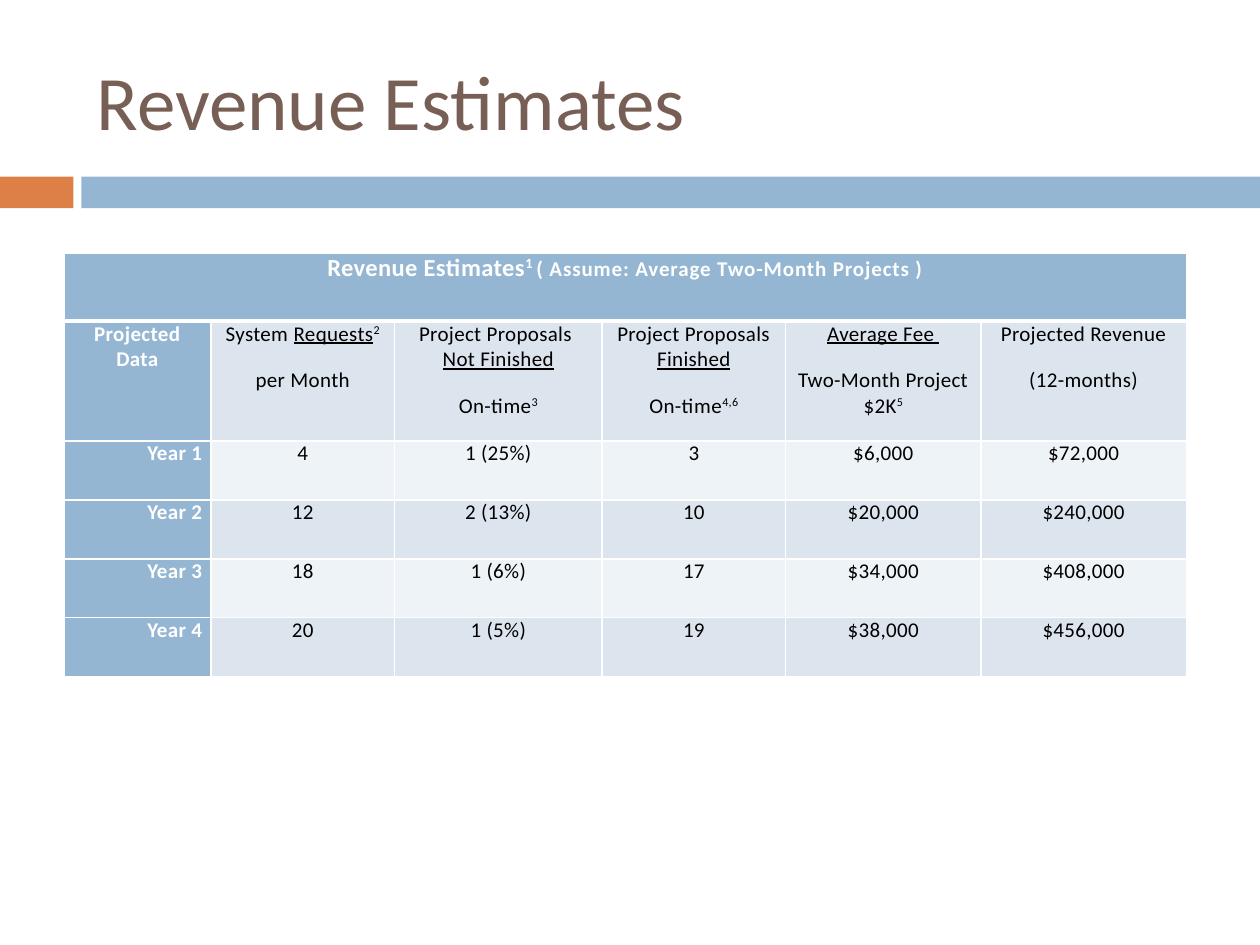
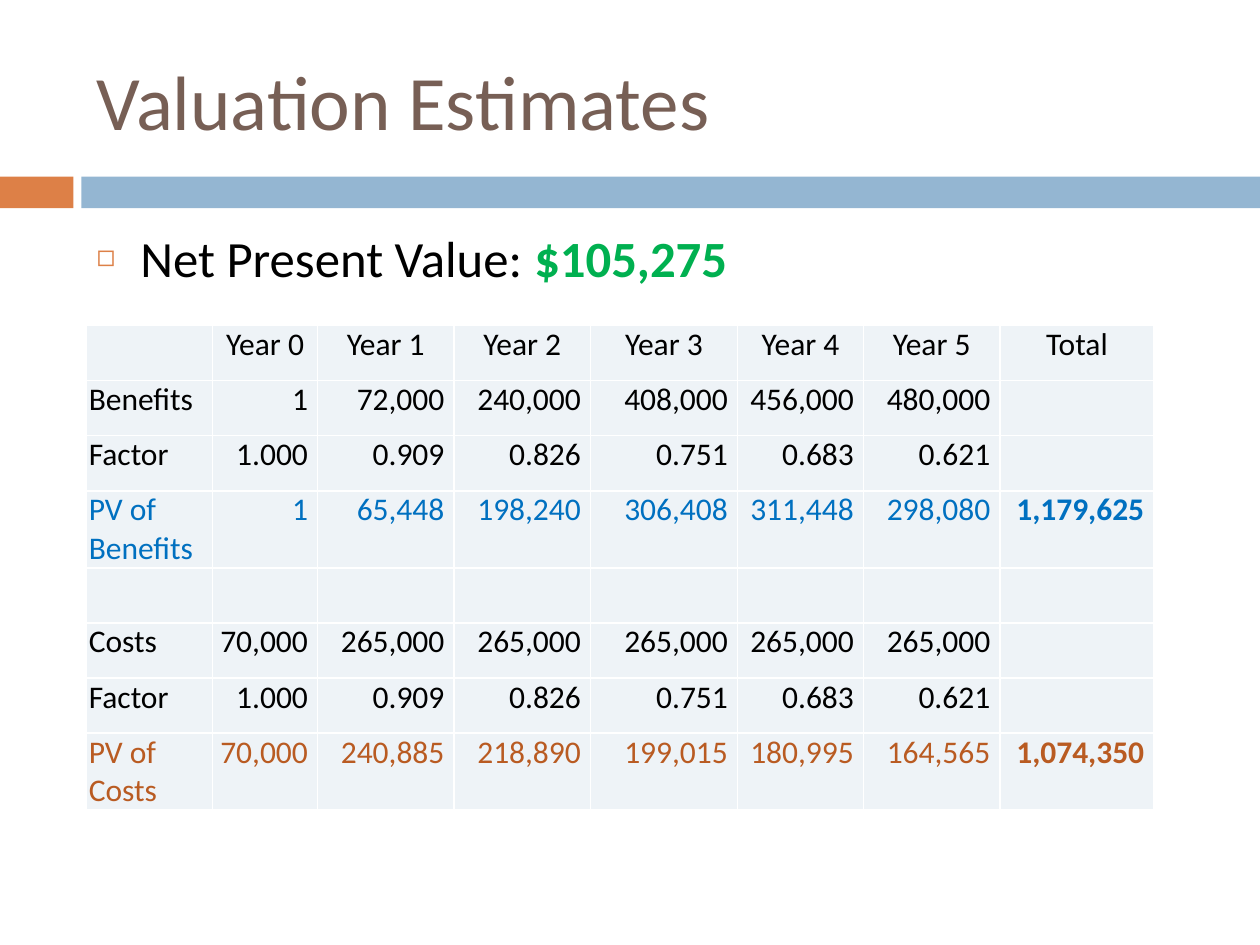
"""Builds the revenue and valuation estimate slides."""
from lxml import etree
from pptx import Presentation
from pptx.dml.color import RGBColor
from pptx.enum import shapes, text
from pptx.oxml import ns
from pptx.util import Pt

BLUE = RGBColor(0x94, 0xB6, 0xD2)
MID = RGBColor(0xDC, 0xE5, 0xEE)
PALE = RGBColor(0xEE, 0xF3, 0xF7)
ORANGE = RGBColor(0xDD, 0x80, 0x47)
BROWN = RGBColor(0x77, 0x5F, 0x55)
GREEN = RGBColor(0x00, 0xB0, 0x50)
GAIN = RGBColor(0x00, 0x70, 0xC0)
COST = RGBColor(0xB9, 0x5B, 0x22)
BLACK = RGBColor(0, 0, 0)
WHITE = RGBColor(0xFF, 0xFF, 0xFF)

LEFT, MIDDLE, RIGHT = text.PP_ALIGN.LEFT, text.PP_ALIGN.CENTER, text.PP_ALIGN.RIGHT


def child(node, tag, **attrs):
    return etree.SubElement(node, ns.qn(tag), **attrs)


class Deck:
    face = "Calibri"

    def __init__(self):
        self.prs = Presentation()
        self.prs.slide_width, self.prs.slide_height = Pt(720), Pt(540)
        self.slide = None

    def page(self, title, layout):
        self.slide = self.prs.slides.add_slide(self.prs.slide_layouts[layout])
        self.band(0, 42, ORANGE)
        self.band(46.5, 673.5, BLUE)
        box = self.slide.shapes.title
        self.place(box, 48, 18, 642, 78)
        box.text_frame.text = title
        box.text_frame.vertical_anchor = text.MSO_ANCHOR.MIDDLE
        line = box.text_frame.paragraphs[0]
        line.alignment = LEFT
        self.font(line.runs[0], 44, BROWN)

    def band(self, left, width, fill):
        bar = self.slide.shapes.add_shape(
            shapes.MSO_SHAPE.RECTANGLE, Pt(left), Pt(101), Pt(width), Pt(18))
        bar.shadow.inherit = False
        bar.fill.solid()
        bar.fill.fore_color.rgb = fill
        bar.line.fill.background()

    def place(self, box, left, top, width, height):
        box.left, box.top, box.width, box.height = map(Pt, (left, top, width, height))
        box.text_frame.auto_size = text.MSO_AUTO_SIZE.NONE

    def font(self, run, size, color, bold=False):
        font = run.font
        font.name, font.size, font.bold = self.face, Pt(size), bold
        font.color.rgb = color

    def point(self, label, value):
        box = self.slide.placeholders[1]
        self.place(box, 48, 126, 642, 48)
        line = box.text_frame.paragraphs[0]
        line.space_before = Pt(0)
        props = line._p.get_or_add_pPr()
        props.set("marL", str(Pt(25)))
        props.set("indent", str(-Pt(25)))
        child(child(props, "a:buClr"), "a:srgbClr", val=str(ORANGE))
        child(props, "a:buSzPct", val="60000")
        child(props, "a:buChar", char="◻")
        line.text = label
        self.font(line.runs[0], 29, BLACK)
        run = line.add_run()
        run.text = value
        self.font(run, 29, GREEN, True)

    def table(self, left, top, cols, rows):
        grid = self.slide.shapes.add_table(
            len(rows), len(cols), Pt(left), Pt(top), Pt(sum(cols)), Pt(sum(rows))).table
        grid.first_row = grid.horz_banding = False
        for col, width in zip(grid.columns, cols):
            col.width = Pt(width)
        for row, height in zip(grid.rows, rows):
            row.height = Pt(height)
        return grid

    def cell(self, cell, fill, pad, under=1):
        cell.margin_left, cell.margin_right = map(Pt, pad)
        cell.margin_top = cell.margin_bottom = 0
        props = cell._tc.get_or_add_tcPr()
        for side, width in zip("LRTB", (1, 1, 1, under)):
            edge = child(props, f"a:ln{side}", w=str(Pt(width)))
            child(child(edge, "a:solidFill"), "a:srgbClr", val=str(WHITE))
        cell.fill.solid()
        cell.fill.fore_color.rgb = fill

    def rich(self, cell, lines, align, color=BLACK, bold=False):
        """Write paragraphs of (text, mark) runs: u underlines, s raises, w is small and wide."""
        frame = cell.text_frame
        for pos, parts in enumerate(lines):
            line = frame.add_paragraph() if pos else frame.paragraphs[0]
            line.alignment = align
            line.space_before, line.space_after = Pt(6 if pos else 0), Pt(6)
            for words, mark in parts:
                if words == "\v":
                    line.add_line_break()
                    continue
                run = line.add_run()
                run.text = words
                self.font(run, 14 if "h" in mark else 12, color, bold)
                run.font.underline = "u" in mark
                props = run._r.get_or_add_rPr()
                props.set("spc", "50" if "w" in mark else "20")
                if "s" in mark:
                    props.set("baseline", "30000")


def revenue(deck):
    deck.page("Revenue Estimates", 5)
    heads = [
        [[("System ", ""), ("Requests", "u"), ("2", "s")], [("per Month", "")]],
        [[("Project Proposals ", ""), ("\v", ""), ("Not Finished", "u")],
         [("On-time", ""), ("3", "s")]],
        [[("Project Proposals ", ""), ("Finished", "u")], [("On-time", ""), ("4,6", "s")]],
        [[("Average Fee ", "u")], [("Two-Month Project $2K", ""), ("5", "s")]],
        [[("Projected Revenue", "")], [("(12-months)", "")]],
    ]
    years = [
        ("4", "1 (25%)", "3", "$6,000", "$72,000"),
        ("12", "2 (13%)", "10", "$20,000", "$240,000"),
        ("18", "1 (6%)", "17", "$34,000", "$408,000"),
        ("20", "1 (5%)", "19", "$38,000", "$456,000"),
    ]
    grid = deck.table(36.5, 144.5, (84, 105, 118.5, 105, 111.5, 117.5), [39, 68.5] + [33.7] * 4)
    for r in range(6):
        for c in range(6):
            fill = BLUE if r == 0 or c == 0 else MID if r % 2 else PALE
            deck.cell(grid.cell(r, c), fill, (5, 5), 1 if r else 3)
    top = grid.cell(0, 0)
    top.merge(grid.cell(0, 5))
    deck.rich(top, [[("Revenue Estimates", "h"), ("1 ", "hs"),
                     ("( Assume: Average Two-Month Projects )", "w")]], MIDDLE, WHITE, True)
    deck.rich(grid.cell(1, 0), [[("Projected Data", "")]], MIDDLE, WHITE, True)
    for c, head in enumerate(heads, 1):
        deck.rich(grid.cell(1, c), head, MIDDLE)
    for n, year in enumerate(years, 1):
        deck.rich(grid.cell(n + 1, 0), [[(f"Year {n}", "")]], RIGHT, WHITE, True)
        for c, value in enumerate(year, 1):
            deck.rich(grid.cell(n + 1, c), [[(value, "")]], MIDDLE)


def value(deck):
    deck.page("Valuation Estimates", 1)
    deck.point("Net Present Value: ", "$105,275")
    factor = ("Factor", "1.000", "0.909", "0.826", "0.751", "0.683", "0.621", "")
    rows = [
        ("", *(f"Year {n}" for n in range(6)), "Total"),
        ("Benefits", "1", "72,000", "240,000", "408,000", "456,000", "480,000", ""),
        factor,
        ("PV of Benefits", "1", "65,448", "198,240", "306,408", "311,448", "298,080",
         "1,179,625"),
        ("",) * 8,
        ("Costs", "70,000", *["265,000"] * 5, ""),
        factor,
        ("PV of Costs", "70,000", "240,885", "218,890", "199,015", "180,995", "164,565",
         "1,074,350"),
    ]
    tints = {3: GAIN, 7: COST}
    grid = deck.table(49.5, 186, (72, 60, 78, 78, 84, 72, 78, 88), [31.5] * 8)
    for r, row in enumerate(rows):
        for c, words in enumerate(row):
            cell = grid.cell(r, c)
            number = r > 0 and c > 0
            deck.cell(cell, PALE, (1.25, 5.5 if number else 1.25))
            if words:
                cell.text_frame.text = words
                line = cell.text_frame.paragraphs[0]
                line.alignment = RIGHT if number else LEFT if r else MIDDLE
                deck.font(line.runs[0], 18, tints.get(r, BLACK), r > 0 and c == 7)


def main():
    deck = Deck()
    revenue(deck)
    value(deck)
    deck.prs.save("out.pptx")


if __name__ == "__main__":
    main()
